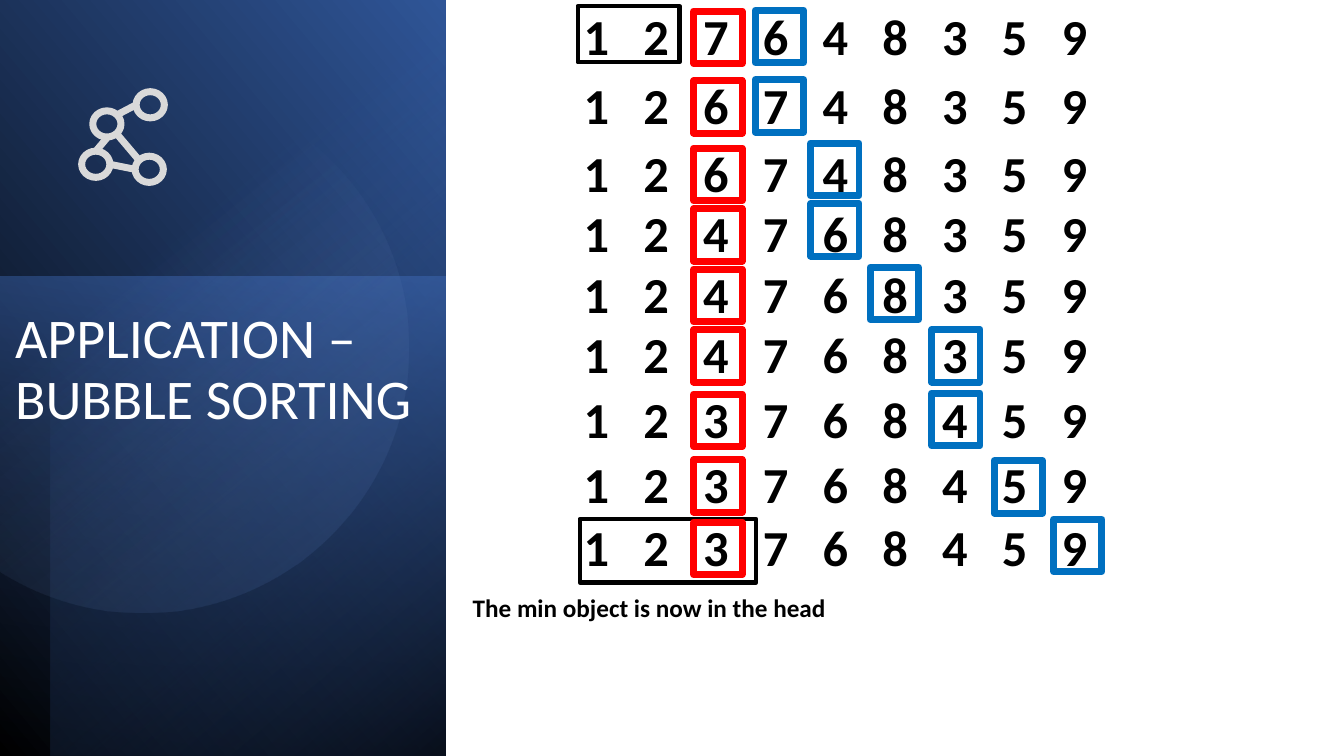
from math import cos, radians, sin

from pptx import Presentation
from pptx.dml.color import RGBColor
from pptx.enum.shapes import MSO_CONNECTOR as CONNECTOR, MSO_SHAPE as SHAPE
from pptx.enum.text import MSO_ANCHOR as ANCHOR, MSO_AUTO_SIZE as AUTO_SIZE, PP_ALIGN as ALIGN
from pptx.oxml import parse_xml
from pptx.oxml.ns import nsdecls, qn
from pptx.util import Inches, Pt

BLACK = RGBColor(0x00, 0x00, 0x00)
WHITE = RGBColor(0xFF, 0xFF, 0xFF)
RED = RGBColor(0xFF, 0x00, 0x00)
BLUE = RGBColor(0x00, 0x70, 0xC0)
GREY = RGBColor(0xD9, 0xD9, 0xD9)
NAVY = RGBColor(0x20, 0x38, 0x64)
DEEP_BLUE = RGBColor(0x2F, 0x55, 0x97)
MID_BLUE = RGBColor(0x44, 0x72, 0xC4)
PALE_BLUE = RGBColor(0x8F, 0xAA, 0xDC)


def add_outline(shapes, kind, left, top, width, height, color, weight):
    outline = shapes.add_shape(kind, Inches(left), Inches(top), Inches(width), Inches(height))
    outline.shadow.inherit = False
    outline.fill.background()
    outline.line.color.rgb = color
    outline.line.width = Pt(weight)


def add_label(shapes, text, left, top, width, height, size):
    frame = shapes.add_textbox(Inches(left), Inches(top), Inches(width), Inches(height)).text_frame
    frame.text = text
    frame.auto_size = AUTO_SIZE.SHAPE_TO_FIT_TEXT
    font = frame.paragraphs[0].runs[0].font
    font.name, font.size, font.bold = "Calibri", Pt(size), True
    font.color.rgb = BLACK
    return frame


prs = Presentation()
prs.slide_width, prs.slide_height = Inches(13.33), Inches(7.5)
slide = prs.slides.add_slide(prs.slide_layouts[5])
shapes = slide.shapes

base = shapes.add_shape(SHAPE.RECTANGLE, Inches(-1.55), Inches(1.55), Inches(7.52), Inches(4.42))
lower_glow = shapes.add_shape(SHAPE.RECTANGLE, Inches(-0.17), Inches(2.91), Inches(4.76), Inches(4.42))
side_shade = shapes.add_shape(SHAPE.RECTANGLE, Inches(-1.29), Inches(1.79), Inches(7.5), Inches(3.92))

arc = [(Inches(1.81 + 2.63 * cos(radians(a))), Inches(3.93 + 2.63 * sin(radians(a))))
       for a in range(-224, 23, 2)]
builder = shapes.build_freeform(*arc[0])
builder.add_line_segments(arc[1:], close=True)
disc = builder.convert_to_shape()

panels = [
    (base, 90, True, 310, [(0, BLACK, 100), (100, DEEP_BLUE, 100)]),
    (lower_glow, 270, False, 190, [(0, MID_BLUE, 50), (100, NAVY, 0)]),
    (side_shade, 270, True, 220, [(0, BLACK, 59), (69, MID_BLUE, 0)]),
    (disc, 101.6, False, 310, [(39, PALE_BLUE, 0), (100, DEEP_BLUE, 26)]),
]
for panel, rotation, flipped, angle, stops in panels:
    panel.shadow.inherit = False
    panel.line.fill.background()
    panel.fill.background()
    panel.rotation = rotation
    properties = panel.element.spPr
    if flipped:
        properties.xfrm.set("flipH", "1")
    stop_xml = "".join(
        f'<a:gs pos="{pos * 1000}"><a:srgbClr val="{color}"><a:alpha val="{alpha * 1000}"/></a:srgbClr></a:gs>'
        for pos, color, alpha in stops)
    gradient = parse_xml(
        f'<a:gradFill {nsdecls("a")} rotWithShape="1"><a:gsLst>{stop_xml}</a:gsLst>'
        f'<a:lin ang="{angle * 60000}" scaled="0"/></a:gradFill>')
    properties.replace(properties.find(qn("a:noFill")), gradient)

title = shapes.title
shapes.element.append(title.element)
title.left, title.top, title.width, title.height = Inches(0.05), Inches(3.03), Inches(4.36), Inches(3.36)
title.text_frame.text = "APPLICATION – BUBBLE SORTING"
title.text_frame.word_wrap = True
title.text_frame.auto_size = AUTO_SIZE.NONE
title.text_frame.vertical_anchor = ANCHOR.TOP
heading = title.text_frame.paragraphs[0]
heading.alignment = ALIGN.LEFT
heading.line_spacing = 0.9
heading_font = heading.runs[0].font
heading_font.name, heading_font.size = "Calibri", Pt(40)
heading_font.color.rgb = WHITE

network = shapes.add_group_shape().shapes
for left, top in [(0.81, 1.5), (0.92, 1.1), (1.34, 1.55), (1.35, 0.91)]:
    add_outline(network, SHAPE.OVAL, left, top, 0.28, 0.26, GREY, 5)
for x1, y1, x2, y2 in [(0.95, 1.5, 1.06, 1.37), (1.16, 1.33, 1.38, 1.59),
                       (1.09, 1.63, 1.34, 1.68), (1.16, 1.14, 1.35, 1.04)]:
    edge = network.add_connector(CONNECTOR.STRAIGHT, Inches(x1), Inches(y1), Inches(x2), Inches(y2))
    edge.line.color.rgb = GREY
    edge.line.width = Pt(5)
    edge.element.spPr.append(parse_xml(f'<a:effectLst {nsdecls("a")}/>'))

caption = add_label(shapes, "The min object is now in the head", 4.59, 5.83, 3.73, 0.4, 18)
caption.word_wrap = False

add_outline(shapes, SHAPE.RECTANGLE, 5.75, 5.15, 1.75, 0.63, BLACK, 3)
add_outline(shapes, SHAPE.RECTANGLE, 5.73, 0.06, 1.01, 0.56, BLACK, 3)

compared_left = {3: 7.49, 4: 8.04, 5: 8.63, 6: 9.24, 7: 9.86, 8: 10.45}
steps = [
    (0, "127648359", 3, 0.1),
    (0.69, "126748359", 3, 0.79),
    (1.36, "126748359", 4, 1.42),
    (1.96, "124768359", 4, 2.02),
    (2.56, "124768359", 5, 2.65),
    (3.16, "124768359", 6, 3.27),
    (3.8, "123768459", 6, 3.9),
    (4.45, "123768459", 7, 4.57),
    (5.07, "123768459", 8, 5.15),
]
tab_xml = "".join(f'<a:tab pos="{Inches(0.5925 * i)}" algn="l"/>' for i in range(1, 9))
for top, digits, compared, compared_top in steps:
    row = add_label(shapes, "\t".join(digits), 5.69, top, 5.24, 0.71, 36)
    row.word_wrap = True
    row_properties = row.paragraphs[0]._p.get_or_add_pPr()
    row_properties.append(parse_xml(f'<a:tabLst {nsdecls("a")}>{tab_xml}</a:tabLst>'))
    add_outline(shapes, SHAPE.RECTANGLE, 6.88, top + 0.11, 0.48, 0.52, RED, 5)
    add_outline(shapes, SHAPE.RECTANGLE, compared_left[compared], compared_top, 0.48, 0.52, BLUE, 5)

prs.save("out.pptx")
